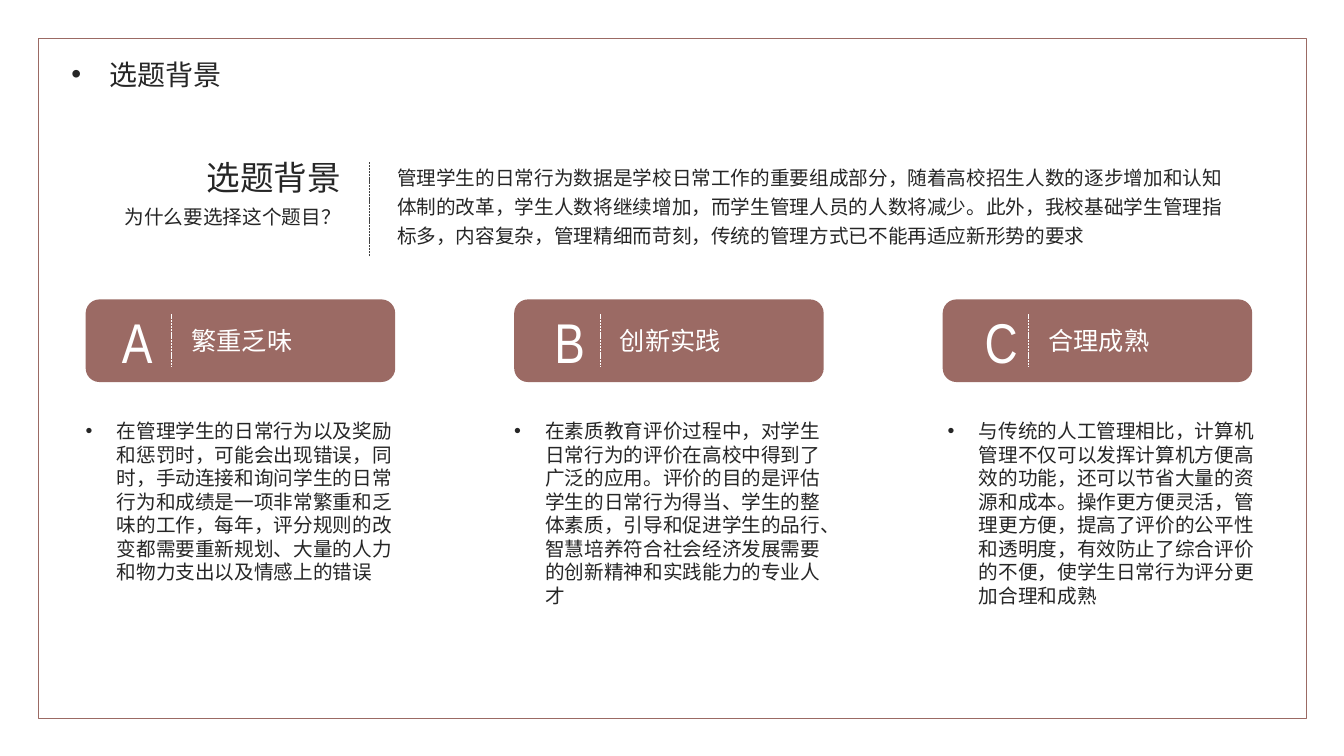
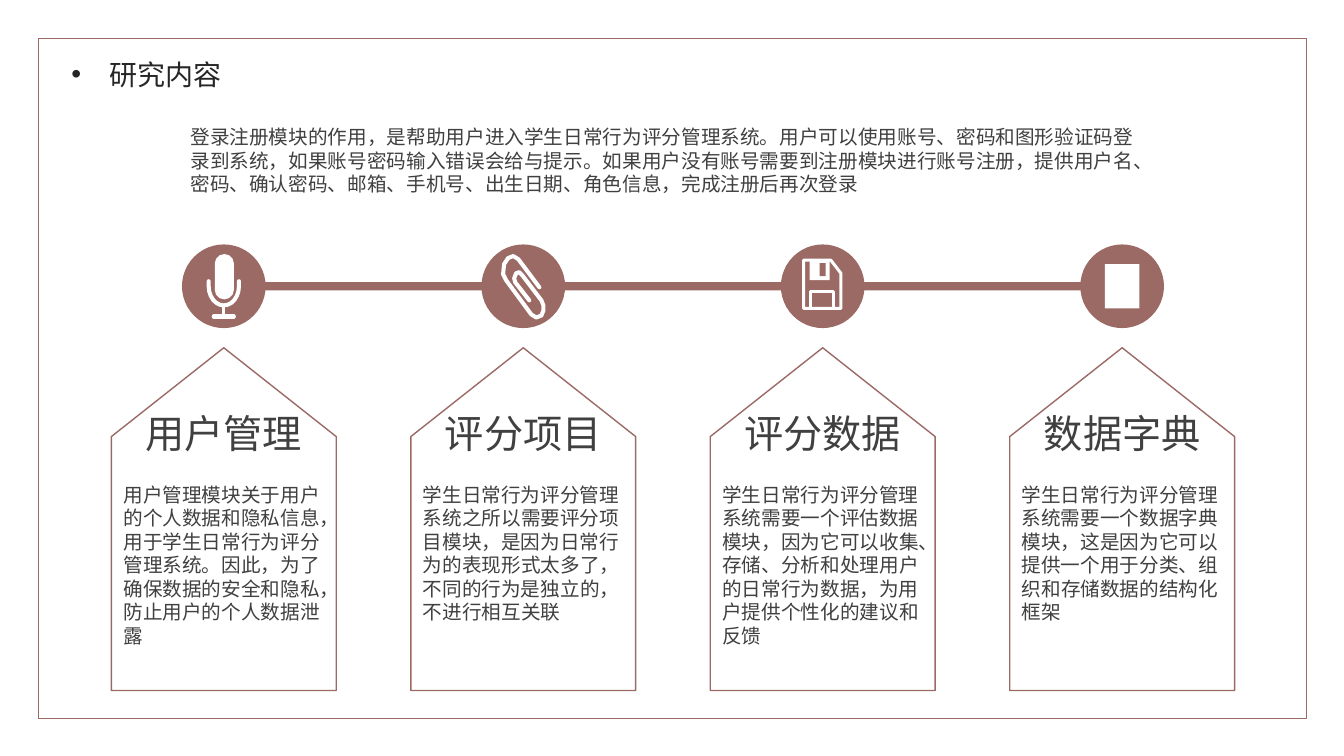
import math
from dataclasses import dataclass

import lxml.etree
import pptx
import pptx.dml.color
import pptx.enum.dml
import pptx.enum.shapes
import pptx.enum.text
import pptx.oxml.ns
import pptx.util

Inches = pptx.util.Inches
SHAPE = pptx.enum.shapes.MSO_SHAPE
ALIGN = pptx.enum.text.PP_ALIGN
ANCHOR = pptx.enum.text.MSO_ANCHOR
qn = pptx.oxml.ns.qn


@dataclass(frozen=True)
class Theme:
    brand: str = "9B6A64"
    ink: str = "262626"
    soft_ink: str = "404040"
    white: str = "FFFFFF"
    font: str = "Noto Sans CJK SC"
    letter_font: str = "Arial Narrow"
    title: int = 20
    lead: int = 24
    heading: int = 28
    label: int = 18
    letter: int = 40
    body: int = 14


THEME = Theme()

REASONS = [
    ("A", 0.51, "繁重乏味", -0.1,
     "在管理学生的日常行为以及奖励和惩罚时，可能会出现错误，同时，手动连接和询问学生的日常"
     "行为和成绩是一项非常繁重和乏味的工作，每年，评分规则的改变都需要重新规划、大量的人力"
     "和物力支出以及情感上的错误"),
    ("B", 0.55, "创新实践", -0.1,
     "在素质教育评价过程中，对学生日常行为的评价在高校中得到了广泛的应用。评价的目的是评估"
     "学生的日常行为得当、学生的整体素质，引导和促进学生的品行、智慧培养符合社会经济发展需要"
     "的创新精神和实践能力的专业人才"),
    ("C", 0.58, "合理成熟", -0.05,
     "与传统的人工管理相比，计算机管理不仅可以发挥计算机方便高效的功能，还可以节省大量的资"
     "源和成本。操作更方便灵活，管理更方便，提高了评价的公平性和透明度，有效防止了综合评价"
     "的不便，使学生日常行为评分更加合理和成熟"),
]

MODULES = [
    ("用户管理", "用户管理模块关于用户的个人数据和隐私信息，用于学生日常行为评分管理系统。"
     "因此，为了确保数据的安全和隐私，防止用户的个人数据泄露"),
    ("评分项目", "学生日常行为评分管理系统之所以需要评分项目模块，是因为日常行为的表现形式太多了，"
     "不同的行为是独立的，不进行相互关联"),
    ("评分数据", "学生日常行为评分管理系统需要一个评估数据模块，因为它可以收集、存储、分析和处理"
     "用户的日常行为数据，为用户提供个性化的建议和反馈"),
    ("数据字典", "学生日常行为评分管理系统需要一个数据字典模块，这是因为它可以提供一个用于分类、"
     "组织和存储数据的结构化框架"),
]

CLIP_WIRE = [
    (0.06, 0.14), (-0.08, -0.04), (-0.09, -0.08), (-0.07, -0.13), (-0.04, -0.14),
    (-0.01, -0.11), (0.18, 0.14), (0.2, 0.19), (0.2, 0.24), (0.18, 0.29),
    (0.13, 0.31), (0.08, 0.28), (-0.17, -0.06), (-0.2, -0.12), (-0.19, -0.22),
    (-0.15, -0.28), (-0.1, -0.3), (-0.05, -0.27), (0.16, 0.01),
]


def rgb(color):
    return pptx.dml.color.RGBColor.from_string(color)


def add_shape(slide, kind, left, top, width, height, fill=None, line=None):
    shape = slide.shapes.add_shape(
        kind, Inches(left), Inches(top), Inches(width), Inches(height))
    shape.shadow.inherit = False
    if fill:
        shape.fill.solid()
        shape.fill.fore_color.rgb = rgb(fill)
    else:
        shape.fill.background()
    if line:
        shape.line.color.rgb = rgb(line)
        shape.line.width = pptx.util.Pt(1)
    else:
        shape.line.fill.background()
    return shape


def add_text(slide, text, left, top, width, height, size, color=THEME.ink, font=THEME.font,
             align=ALIGN.LEFT, anchor=ANCHOR.TOP, spacing=None, bullet_indent=None):
    box = slide.shapes.add_textbox(Inches(left), Inches(top), Inches(width), Inches(height))
    frame = box.text_frame
    frame.word_wrap = True
    frame.vertical_anchor = anchor
    paragraph = frame.paragraphs[0]
    paragraph.text = text
    paragraph.alignment = align
    if spacing:
        paragraph.line_spacing = spacing
    paragraph.font.size = pptx.util.Pt(size)
    paragraph.font.name = font
    paragraph.font.color.rgb = rgb(color)
    properties = paragraph._p.pPr
    defaults = properties.find(qn("a:defRPr"))
    lxml.etree.SubElement(defaults, qn("a:ea")).set("typeface", font)
    if bullet_indent:
        properties.set("marL", str(Inches(bullet_indent)))
        properties.set("indent", str(-Inches(bullet_indent)))
        bullet_font = lxml.etree.Element(qn("a:buFont"))
        bullet_font.set("typeface", "Arial")
        bullet = lxml.etree.Element(qn("a:buChar"))
        bullet.set("char", "•")
        defaults.addprevious(bullet_font)
        defaults.addprevious(bullet)


def add_divider(slide, x, top, height, color):
    line = slide.shapes.add_connector(
        pptx.enum.shapes.MSO_CONNECTOR.STRAIGHT,
        Inches(x), Inches(top), Inches(x), Inches(top + height))
    line.line.color.rgb = rgb(color)
    line.line.width = pptx.util.Pt(0.5)
    line.line.dash_style = pptx.enum.dml.MSO_LINE.SQUARE_DOT
    lxml.etree.SubElement(line._element.spPr, qn("a:effectLst"))


def add_stroke(slide, x, y, points, width, close=False):
    """Draw a white round-ended line through points given relative to (x, y)."""
    corners = [(Inches(x + dx), Inches(y + dy)) for dx, dy in points]
    builder = slide.shapes.build_freeform(*corners[0])
    builder.add_line_segments(corners[1:], close=close)
    shape = builder.convert_to_shape()
    shape.shadow.inherit = False
    shape.fill.background()
    shape.line.color.rgb = rgb(THEME.white)
    shape.line.width = Inches(width)
    shape._element.spPr.find(qn("a:ln")).set("cap", "rnd")


def add_framed_slide(presentation, title):
    slide = presentation.slides.add_slide(presentation.slide_layouts[6])
    add_shape(slide, SHAPE.RECTANGLE, 0.38, 0.38, 12.58, 6.75, line=THEME.brand)
    add_text(slide, title, 0.61, 0.52, 2.02, 0.44, THEME.title,
             align=ALIGN.JUSTIFY, bullet_indent=0.38)
    return slide


def add_lead(slide, left, top):
    add_text(slide, "选题背景", left, top, 2.7, 0.5, THEME.lead,
             align=ALIGN.RIGHT, anchor=ANCHOR.MIDDLE)
    add_text(slide, "为什么要选择这个题目？", left, top + 0.45, 2.7, 0.38, THEME.body,
             align=ALIGN.RIGHT, anchor=ANCHOR.MIDDLE)
    add_divider(slide, left + 2.88, top + 0.1, 0.93, THEME.soft_ink)
    add_text(slide,
             "管理学生的日常行为数据是学校日常工作的重要组成部分，随着高校招生人数的逐步增加和认知"
             "体制的改革，学生人数将继续增加，而学生管理人员的人数将减少。此外，我校基础学生管理指"
             "标多，内容复杂，管理精细而苛刻，传统的管理方式已不能再适应新形势的要求",
             left + 3.06, top + 0.03, 8.46, 1.15, THEME.body, spacing=1.24)


def add_reason(slide, left, top, letter, letter_center, label, body_offset, body):
    height = 0.82
    add_shape(slide, SHAPE.ROUNDED_RECTANGLE, left, top, 3.07, height, fill=THEME.brand)
    add_text(slide, letter, left + letter_center - 0.35, top, 0.7, height, THEME.letter,
             THEME.white, THEME.letter_font, ALIGN.CENTER, ANCHOR.MIDDLE)
    add_divider(slide, left + 0.85, top + 0.15, 0.52, THEME.white)
    add_text(slide, label, left + 0.95, top, 1.92, height, THEME.label,
             THEME.white, anchor=ANCHOR.MIDDLE)
    add_text(slide, body, left + body_offset, top + 1.14, 3.31, 2.3, THEME.body,
             bullet_indent=0.31)


def draw_microphone(slide, x, y):
    capsule = add_shape(slide, SHAPE.ROUNDED_RECTANGLE, x - 0.09, y - 0.32, 0.19, 0.45,
                        fill=THEME.white)
    capsule.adjustments[0] = 0.5
    angles = [math.pi * step / 12 for step in range(13)]
    cradle = [(-0.15 * math.cos(angle), 0.19 * math.sin(angle)) for angle in angles]
    add_stroke(slide, x, y, [(-0.15, -0.05), *cradle, (0.15, -0.05)], 0.04)
    add_stroke(slide, x, y, [(0, 0.2), (0, 0.29)], 0.03)
    add_stroke(slide, x, y, [(-0.1, 0.3), (0.1, 0.3)], 0.04)


def draw_paperclip(slide, x, y):
    add_stroke(slide, x, y, CLIP_WIRE, 0.04)


def draw_floppy(slide, x, y):
    case = [(-0.19, -0.26), (0.08, -0.26), (0.18, -0.13), (0.18, 0.22), (-0.19, 0.22)]
    add_stroke(slide, x, y, case, 0.03, close=True)
    add_stroke(slide, x, y, [(-0.12, 0.22), (-0.12, 0.05), (0.11, 0.05), (0.11, 0.22)], 0.03)
    add_shape(slide, SHAPE.RECTANGLE, x - 0.13, y - 0.26, 0.2, 0.2, fill=THEME.white)
    add_shape(slide, SHAPE.RECTANGLE, x - 0.03, y - 0.23, 0.06, 0.13, fill=THEME.brand)


def draw_plain_mark(slide, x, y):
    add_shape(slide, SHAPE.RECTANGLE, x - 0.17, y - 0.22, 0.34, 0.44, fill=THEME.white)


def add_badge(slide, x, y, draw_icon):
    size = 0.83
    add_shape(slide, SHAPE.OVAL, x - size / 2, y - size / 2, size, size, fill=THEME.brand)
    draw_icon(slide, x, y)


def add_module(slide, center, top, heading, body):
    width, height = 2.23, 3.4
    house = add_shape(slide, SHAPE.PENTAGON, center - height / 2, top + (height - width) / 2,
                      height, width, line=THEME.brand)
    house.rotation = 270
    house.adjustments[0] = 0.395
    left = center - width / 2
    add_text(slide, heading, left, top + 0.54, width, 0.6, THEME.heading, THEME.soft_ink,
             align=ALIGN.CENTER, anchor=ANCHOR.MIDDLE)
    add_text(slide, body, left + 0.02, top + 1.29, 2.25, 2.07, THEME.body, THEME.soft_ink)


def build_background_slide(presentation):
    slide = add_framed_slide(presentation, "选题背景")
    add_lead(slide, 0.78, 1.51)
    for index, reason in enumerate(REASONS):
        add_reason(slide, 0.85 + 4.25 * index, 2.97, *reason)


def build_content_slide(presentation):
    slide = add_framed_slide(presentation, "研究内容")
    add_text(slide,
             "登录注册模块的作用，是帮助用户进入学生日常行为评分管理系统。用户可以使用账号、密码和"
             "图形验证码登录到系统，如果账号密码输入错误会给与提示。如果用户没有账号需要到注册模块"
             "进行账号注册，提供用户名、密码、确认密码、邮箱、手机号、出生日期、角色信息，"
             "完成注册后再次登录",
             1.79, 1.19, 9.62, 0.95, THEME.body, THEME.soft_ink)
    add_shape(slide, SHAPE.RECTANGLE, 2.4, 2.8, 8.54, 0.08, fill=THEME.brand)
    icons = [draw_microphone, draw_paperclip, draw_floppy, draw_plain_mark]
    for index, (draw_icon, module) in enumerate(zip(icons, MODULES)):
        center = 2.22 + 2.97 * index
        add_badge(slide, center, 2.84, draw_icon)
        add_module(slide, center, 3.45, *module)


def main():
    presentation = pptx.Presentation()
    presentation.slide_width = Inches(13.33)
    presentation.slide_height = Inches(7.5)
    build_background_slide(presentation)
    build_content_slide(presentation)
    presentation.save("out.pptx")


if __name__ == "__main__":
    main()
